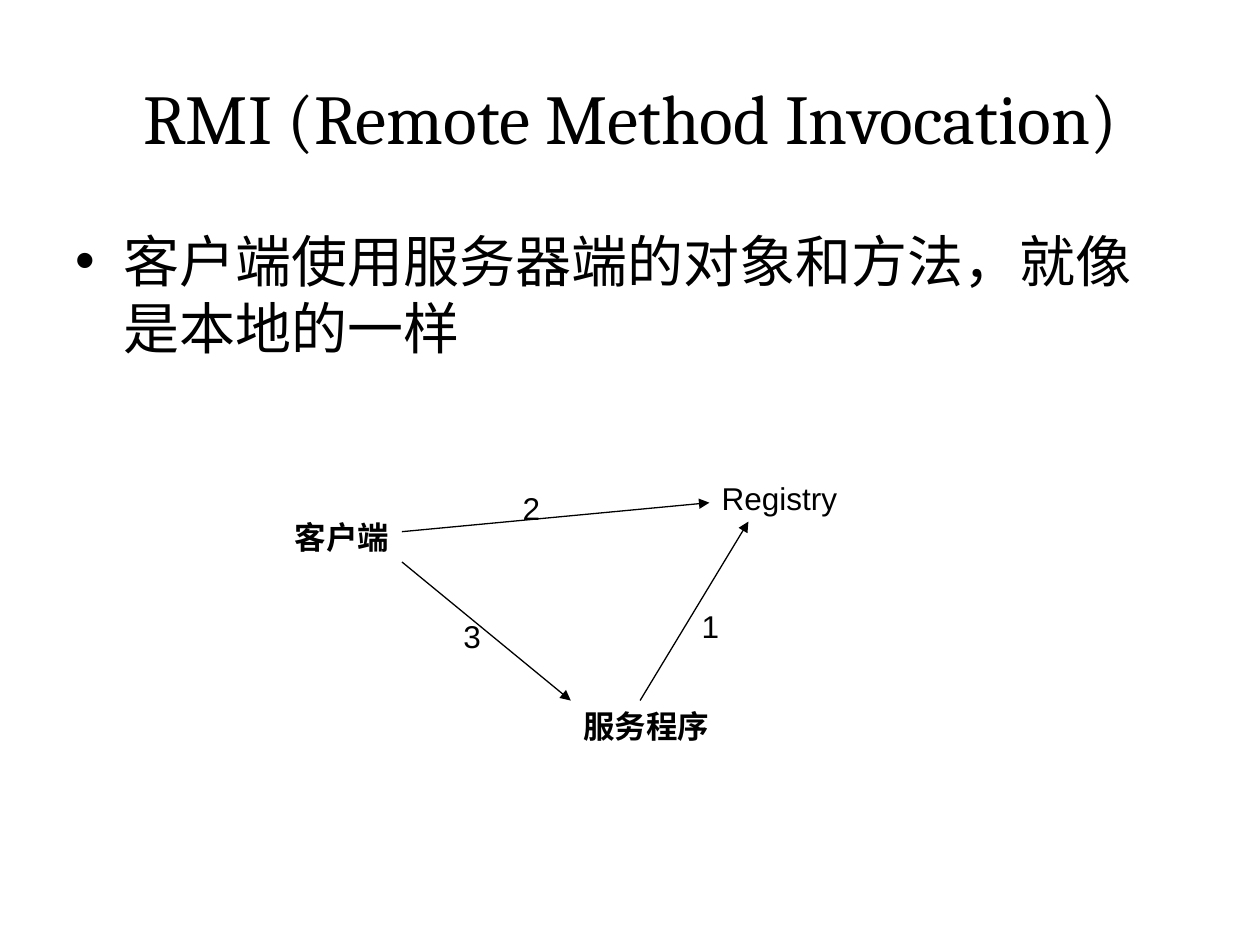
from dataclasses import dataclass

from lxml.etree import SubElement
from pptx import Presentation
from pptx.dml.color import RGBColor
from pptx.enum.shapes import MSO_CONNECTOR as Connector
from pptx.enum.text import MSO_ANCHOR as Anchor, PP_ALIGN as Align
from pptx.oxml.ns import qn
from pptx.util import Inches, Pt


@dataclass(frozen=True)
class Theme:
    ink: RGBColor = RGBColor(0, 0, 0)
    paper: RGBColor = RGBColor(255, 255, 255)
    title_font: str = "Cambria"
    body_font: str = "Arial"
    title_size: float = 40
    body_size: float = 32
    label_size: float = 18
    line_width: float = 0.75


class SlideBuilder:
    def __init__(self, presentation, theme):
        self.theme = theme
        self.slide = presentation.slides.add_slide(presentation.slide_layouts[6])
        self.slide.background.fill.solid()
        self.slide.background.fill.fore_color.rgb = theme.paper

    def text(self, words, box, size, font=None, bold=False,
             align=Align.LEFT, anchor=Anchor.TOP):
        shape = self.slide.shapes.add_textbox(*map(Inches, box))
        frame = shape.text_frame
        frame.word_wrap = True
        frame.vertical_anchor = anchor
        paragraph = frame.paragraphs[0]
        paragraph.alignment = align
        run = paragraph.add_run()
        run.text = words
        run.font.name = font or self.theme.body_font
        run.font.size = Pt(size)
        run.font.bold = bold
        run.font.color.rgb = self.theme.ink
        return paragraph

    def title(self, words, box):
        self.text(words, box, self.theme.title_size, self.theme.title_font,
                  align=Align.CENTER, anchor=Anchor.MIDDLE)

    def bullet(self, words, box, indent=0.38):
        paragraph = self.text(words, box, self.theme.body_size)
        properties = paragraph._p.get_or_add_pPr()
        properties.set("marL", str(Inches(indent)))
        properties.set("indent", str(-Inches(indent)))
        SubElement(properties, qn("a:buFont"), typeface=self.theme.body_font)
        SubElement(properties, qn("a:buChar"), char="•")

    def label(self, words, left, top, width, bold=False):
        self.text(words, (left, top, width, 0.4), self.theme.label_size, bold=bold)

    def arrow(self, start, end):
        connector = self.slide.shapes.add_connector(
            Connector.STRAIGHT, *map(Inches, start + end))
        connector.line.color.rgb = self.theme.ink
        connector.line.width = Pt(self.theme.line_width)
        SubElement(connector.line._get_or_add_ln(), qn("a:tailEnd"), type="triangle")
        SubElement(connector._element.spPr, qn("a:effectLst"))


def main():
    presentation = Presentation()
    presentation.slide_width = Inches(10)
    presentation.slide_height = Inches(7.5)
    builder = SlideBuilder(presentation, Theme())

    # Heading and explanation
    builder.title("RMI (Remote Method Invocation)", (0.5, 0.3, 9, 1.25))
    builder.bullet("客户端使用服务器端的对象和方法，就像是本地的一样", (0.5, 1.75, 9, 4.95))

    # Participants
    builder.label("客户端", 2.24, 4.06, 1.57, bold=True)
    builder.label("服务程序", 4.53, 5.56, 2.36, bold=True)
    builder.label("Registry", 5.63, 3.75, 2.36)

    # Numbered calls: start, end, step, label place and width
    calls = [
        ((5.08, 5.56), (5.94, 4.14), "1", (5.47, 4.77, 0.63)),
        ((3.19, 4.22), (5.63, 3.99), "2", (4.05, 3.83, 0.55)),
        ((3.19, 4.46), (4.53, 5.56), "3", (3.58, 4.85, 0.63)),
    ]
    for start, end, step, place in calls:
        builder.arrow(start, end)
        builder.label(step, *place)

    presentation.save("out.pptx")


if __name__ == "__main__":
    main()
